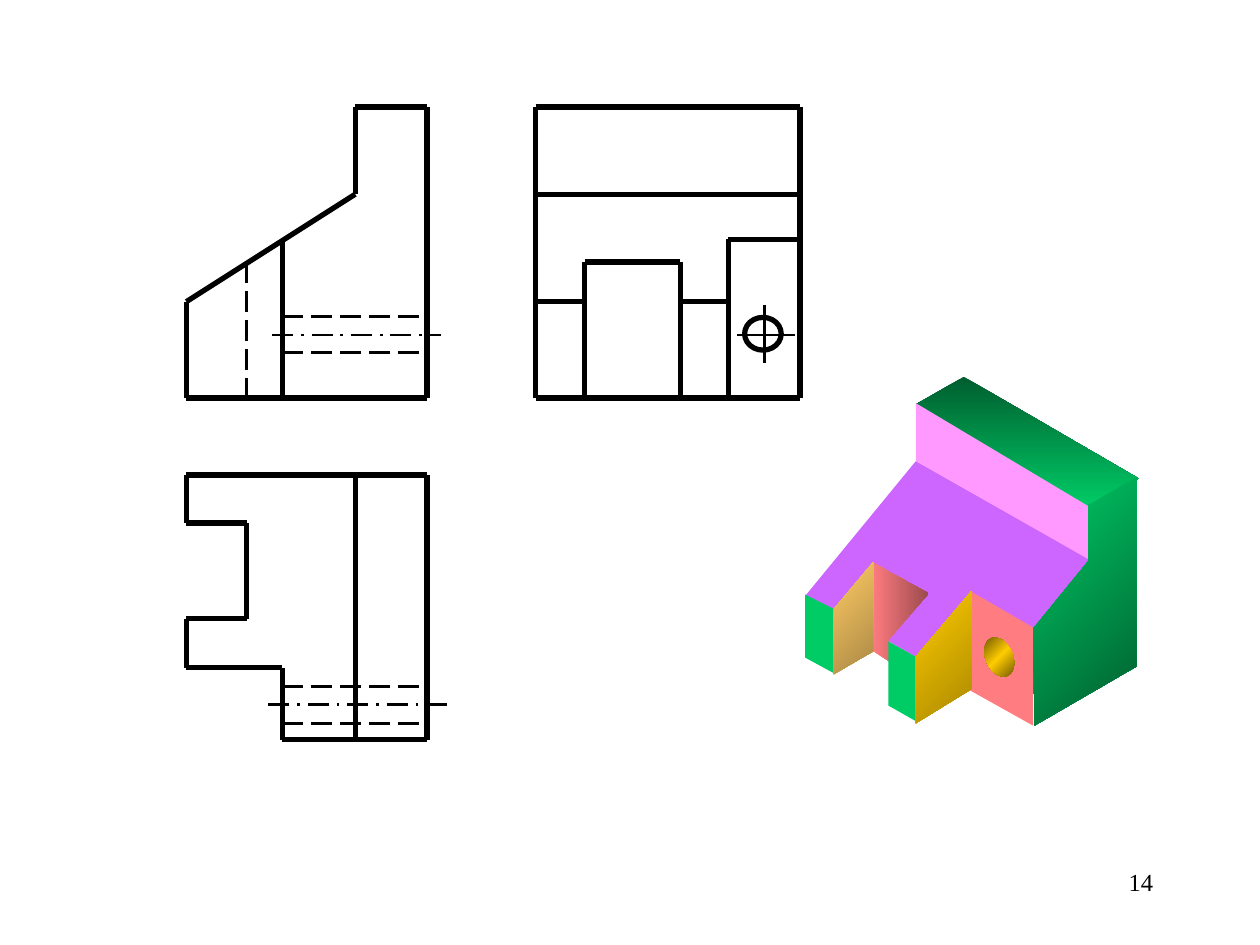
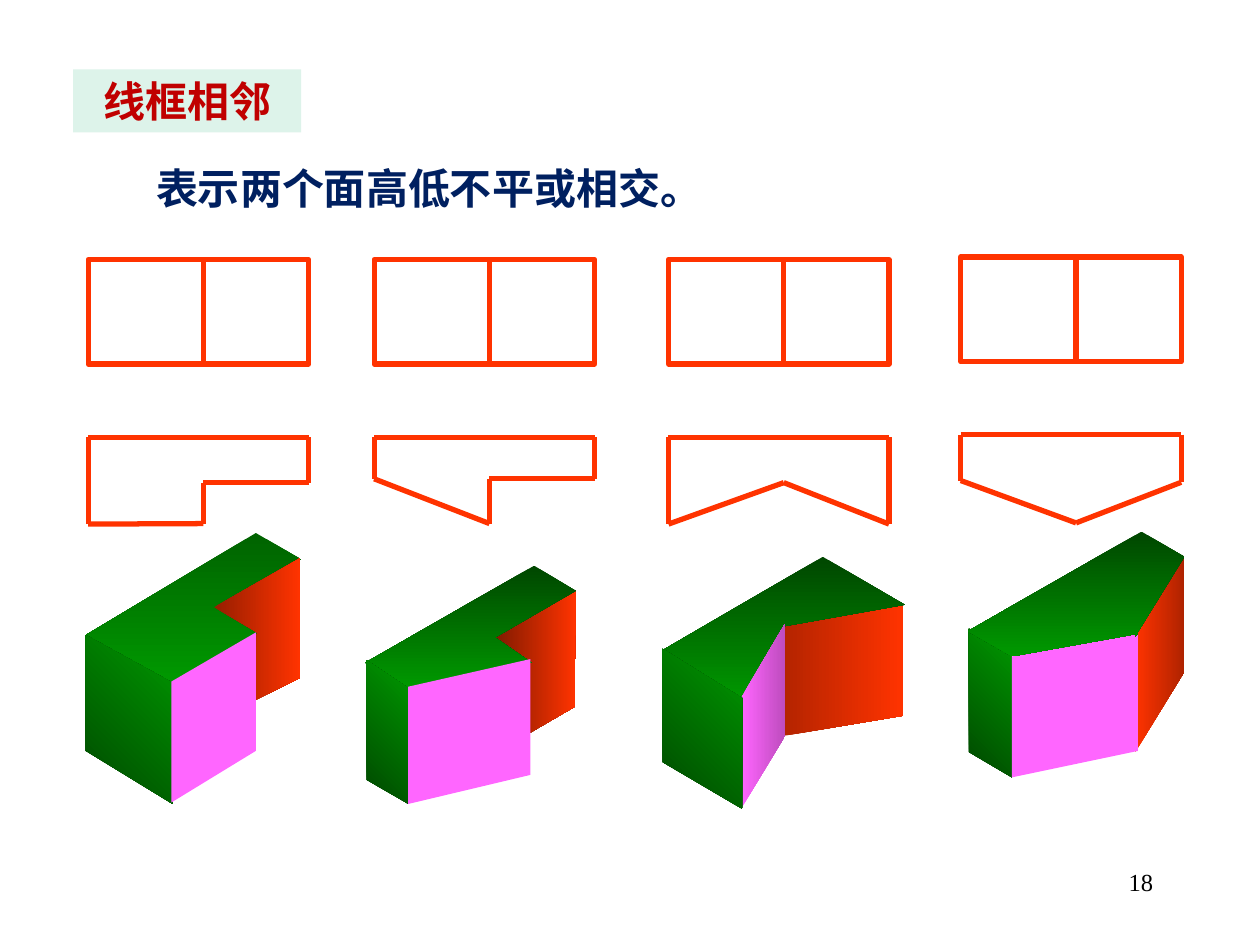
import copy
import math

from lxml import etree
from pptx import Presentation
from pptx import util as u
from pptx.dml import color
from pptx.enum import dml, shapes, text
from pptx.oxml import ns

Pt = u.Pt

# Shared style
FONT = "Times New Roman"
BLACK, RED, NAVY, CRIMSON, MINT = "000000", "FF3300", "002060", "C00000", "DDF3EA"
PURPLE, SALMON, PINK, MAGENTA, JADE = "CC66FF", "FF7C80", "FF99FF", "FF66FF", "00CC66"
DARK_JADE, DARK_GREEN, GREEN = "005E2F", "004700", "009900"
GOLD, DARK_GOLD = "FFCC00", "765E00"
THICK, THIN = 3, 1.5
SOLID, DASH, DASH_DOT = None, dml.MSO_LINE.LONG_DASH, dml.MSO_LINE.LONG_DASH_DOT


def rgb(value):
    return color.RGBColor.from_string(value)


def write(sp, words, size=24, ink=BLACK, bold=False, align=text.PP_ALIGN.LEFT,
          anchor=text.MSO_ANCHOR.TOP):
    tf = sp.text_frame
    tf.word_wrap = True
    tf.auto_size = text.MSO_AUTO_SIZE.NONE
    tf.vertical_anchor = anchor
    tf.margin_left = tf.margin_right = Pt(7.2)
    tf.margin_top = tf.margin_bottom = Pt(3.6)
    p = tf.paragraphs[0]
    p.alignment = align
    r = p.add_run()
    r.text = words
    r.font.name, r.font.size, r.font.bold = FONT, Pt(size), bold
    r.font.color.rgb = rgb(ink)


prs = Presentation()
prs.slide_width, prs.slide_height = Pt(720), Pt(540)
bracket = prs.slides.add_slide(prs.slide_layouts[6])
frames = prs.slides.add_slide(prs.slide_layouts[5])

# Slide numbers
for s, number in ((bracket, "14"), (frames, "18")):
    sp = s.shapes.add_textbox(Pt(516.2), Pt(491.8), Pt(149.8), Pt(36))
    write(sp, number, size=14, align=text.PP_ALIGN.RIGHT)

# Heading and statement
sp = frames.shapes.title
sp.left, sp.top, sp.width, sp.height = Pt(41.8), Pt(39.6), Pt(130.3), Pt(36)
sp.fill.solid()
sp.fill.fore_color.rgb = rgb(MINT)
write(sp, "线框相邻", ink=CRIMSON, bold=True, align=text.PP_ALIGN.CENTER,
      anchor=text.MSO_ANCHOR.MIDDLE)
sp = frames.shapes.add_textbox(Pt(82.1), Pt(89.3), Pt(515.5), Pt(36))
write(sp, "表示两个面高低不平或相交。", ink=NAVY, bold=True)

# Bracket: edges shared by the three views
left, slot, step, wall, right = 106.5, 141, 161.3, 203, 244
top, ridge, step_top, slot_top, toe, foot = 61.2, 111, 136.8, 149.8, 172.4, 227.5
side_left, side_right, notch_left, notch_right, block = 306, 457.2, 334.1, 388.8, 416.2
plan_top, plan_a, plan_b, plan_c, plan_foot = 271.4, 298.8, 353.5, 381.6, 422.6
axis = 191.5

front_view = [
    [(left, foot), (left, toe), (wall, ridge), (wall, top), (right, top),
     (right, foot), (left, foot)],
    [(step, step_top), (step, foot)],
]
side_view = [
    [(side_left, foot), (side_left, top), (side_right, top), (side_right, foot),
     (side_left, foot)],
    [(side_left, ridge), (side_right, ridge)],
    [(notch_left, foot), (notch_left, slot_top), (notch_right, slot_top),
     (notch_right, foot)],
    [(side_left, toe), (notch_left, toe)],
    [(notch_right, toe), (block, toe)],
    [(block, foot), (block, step_top), (side_right, step_top)],
]
plan_view = [
    [(left, plan_top), (right, plan_top), (right, plan_foot), (step, plan_foot),
     (step, plan_c), (left, plan_c), (left, plan_b), (slot, plan_b), (slot, plan_a),
     (left, plan_a), (left, plan_top)],
    [(wall, plan_top), (wall, plan_foot)],
]
hidden_edges = [
    [(slot, slot_top), (slot, foot)],
    [(step, 180.7), (right, 180.7)],
    [(step, 201.6), (right, 201.6)],
    [(step, 392.4), (right, 392.4)],
    [(step, 413.3), (right, 413.3)],
]
centre_lines = [
    [(155.5, axis), (252, axis)],
    [(153.4, 402.5), (255.6, 402.5)],
]
hole_cross = [
    [(437, 174.2), (437, 207.4)],
    [(421.2, axis), (454.3, axis)],
]
# slide, polylines, colour, width, dash
line_sets = [(bracket, front_view + side_view + plan_view, BLACK, THICK, SOLID),
             (bracket, hidden_edges, BLACK, THIN, DASH),
             (bracket, centre_lines, BLACK, THIN, DASH_DOT),
             (bracket, hole_cross, BLACK, THIN, SOLID)]
outlines = [(bracket, shapes.MSO_SHAPE.OVAL, 425.5, 181.4, 20.9, 18.7, BLACK)]

# Four prisms: elevation, divider and plan in each column
FRAME_W, FRAME_H, FRAME_TOP, PLAN_TOP, SPLIT = 126, 59.8, 148.3, 249.8, 65.9
columns = [
    (50.4, 0, [(FRAME_W, 275.8), (SPLIT, 275.8), (SPLIT, 299.2), (0, 299.5)]),
    (213.8, 0, [(FRAME_W, 273.6), (SPLIT, 273.6), (SPLIT, 299.2), (0, 273.6)]),
    (382, 0, [(FRAME_W, 299.5), (SPLIT, 275.8), (0, 299.5)]),
    (549, -1.4, [(FRAME_W, 277), (SPLIT, 300.2), (0, 276)]),
]
for x, dy, lower_edge in columns:
    y = FRAME_TOP + dy
    outlines.append((frames, shapes.MSO_SHAPE.RECTANGLE, x, y, FRAME_W, FRAME_H, RED))
    plan = [(0, PLAN_TOP), (FRAME_W, PLAN_TOP), *lower_edge, (0, PLAN_TOP)]
    line_sets.append((frames, [[(x + SPLIT, y), (x + SPLIT, y + FRAME_H)],
                               [(x + px, py + dy) for px, py in plan]],
                      RED, THICK, SOLID))

# Draw the closed outlines and the lines
for s, kind, x, y, w, h, ink in outlines:
    sp = s.shapes.add_shape(kind, Pt(x), Pt(y), Pt(w), Pt(h))
    sp.shadow.inherit = False
    sp.fill.background()
    sp.line.color.rgb = rgb(ink)
    sp.line.width = Pt(THICK)

for s, polylines, ink, width, dash in line_sets:
    for points in polylines:
        for (x1, y1), (x2, y2) in zip(points, points[1:]):
            sp = s.shapes.add_connector(shapes.MSO_CONNECTOR.STRAIGHT,
                                        Pt(x1), Pt(y1), Pt(x2), Pt(y2))
            sp.line.color.rgb = rgb(ink)
            sp.line.width = Pt(width)
            if dash:
                sp.line.dash_style = dash
            etree.SubElement(sp._element.spPr, ns.qn("a:effectLst"))

# Solid faces: colours, clockwise gradient angle, corners
hole = [(571 + 8.6 * math.cos(t), 375.5 + 11.2 * math.sin(t + 0.3))
        for t in (math.radians(a) for a in range(0, 360, 15))]
bracket_faces = [
    ([PURPLE], 0, [(523.4, 263.5), (460.1, 340.6), (477.4, 348.5), (499, 323),
                   (529.9, 339.1), (507, 366), (524.2, 375.8), (555.1, 338.4),
                   (590.4, 359.3), (622.8, 319.7)]),
    ([SALMON], 0, [(554.4, 337.7), (590.4, 358.6), (590.4, 414.7), (554.4, 394.6)]),
    ([SALMON, "9B4B4E"], 0, [(498.2, 321.1), (530.6, 339.1), (507.6, 365.8),
                             (508.3, 378), (498.2, 371.5)]),
    ([DARK_JADE, JADE], 90, [(523.4, 231.1), (550.8, 215.3), (650.9, 273.6),
                             (622.8, 290.2)]),
    ([PINK], 0, [(523.4, 230.4), (523.4, 263.5), (623.5, 320.4), (623.5, 290.2)]),
    ([JADE, DARK_JADE], 45, [(649.4, 272.9), (649.4, 380.9), (591.1, 414.7),
                             (590.4, 359.3), (622.1, 320.4), (622.1, 288.7)]),
    ([JADE], 0, [(460.1, 339.8), (477.4, 348.5), (477.4, 385.2), (460.1, 375.8)]),
    ([JADE], 0, [(507.6, 366.5), (524.2, 375.8), (524.2, 412.6), (507.6, 403.2)]),
    (["FFCC66", "AA8844"], 45, [(476.6, 347.8), (499, 321.1), (499, 372.2),
                                (476.6, 385.2)]),
    ([DARK_GOLD, GOLD, DARK_GOLD], 45, hole),
    ([GOLD, "AA8800"], 45, [(523.4, 375.1), (523.4, 413.3), (555.1, 393.8),
                            (555.1, 337.7)]),
]
SHADE = [DARK_GREEN, GREEN]
prism_faces = [
    # Stepped prism
    (["006300", GREEN], 90, [(49, 362.9), (146.2, 304.6), (172.1, 319.7),
                             (123.8, 347.8), (149, 360.7), (97.9, 391)]),
    (SHADE, 315, [(49, 362.9), (49, 429.1), (98.6, 459.4), (98.6, 390.2)]),
    (["961E00", RED], 0, [(171.4, 319), (122.4, 347), (146.9, 361.4),
                          (145.4, 400.3), (171.4, 387.4)]),
    ([MAGENTA], 0, [(97.9, 389.5), (97.9, 458.6), (146.2, 429.1), (146.2, 361.4)]),
    # Slanted step
    (["761800", RED], 0, [(279.4, 363.6), (329, 337), (328.3, 403.9),
                          (302.4, 419), (302.4, 379.4)]),
    (SHADE, 90, [(208.8, 378.7), (231.8, 393.1), (303.8, 378.7), (283, 364.3),
                 (329, 337.7), (305.3, 323.3)]),
    (SHADE, 315, [(209.5, 377.3), (209.5, 445.7), (233.3, 459.4), (233.3, 393.1)]),
    ([MAGENTA], 0, [(233.3, 392.4), (233.3, 459.4), (303.1, 442.8), (303.1, 376.6)]),
    # Inward corner
    (["B42400", RED], 0, [(447.8, 357.1), (516.2, 345.6), (516.2, 409),
                          (447.8, 420.5)]),
    (SHADE, 90, [(378.7, 371.5), (421.2, 401.8), (448.6, 357.8), (517, 345.6),
                 (470.2, 318.2)]),
    ([MAGENTA, "BE4CBE"], 0, [(448.6, 356.4), (423.4, 398.9), (423.4, 462.2),
                              (448.6, 420.5)]),
    (SHADE, 315, [(378.7, 370.8), (424.1, 398.9), (424.1, 462.2), (378.7, 435.6)]),
    # Outward corner
    ([RED, "AF2300"], 0, [(654.5, 339.8), (676.8, 317.5), (676.8, 383.8),
                          (648.7, 429.8), (650.2, 361.4)]),
    (SHADE, 315, [(553.7, 359.3), (553.7, 429.8), (578.2, 444.2), (578.2, 375.1)]),
    ([MAGENTA], 0, [(578.2, 375.1), (578.2, 444.2), (650.2, 429.1), (650.2, 362.2)]),
    (SHADE, 90, [(553, 360.7), (578.2, 375.1), (650.2, 362.2), (648.7, 363.6),
                 (676.8, 318.2), (652.3, 303.8)]),
]

for s, faces in ((bracket, bracket_faces), (frames, prism_faces)):
    for inks, angle, corners in faces:
        points = [(Pt(x), Pt(y)) for x, y in corners]
        builder = s.shapes.build_freeform(*points[0])
        builder.add_line_segments(points[1:], close=True)
        sp = builder.convert_to_shape()
        sp.shadow.inherit = False
        sp.line.fill.background()
        if len(inks) == 1:
            sp.fill.solid()
            sp.fill.fore_color.rgb = rgb(inks[0])
            continue
        sp.fill.gradient()
        sp.fill.gradient_angle = -angle % 360
        stops = sp._element.spPr.find(".//" + ns.qn("a:gsLst"))
        while len(stops) < len(inks):
            stops.insert(1, copy.deepcopy(stops[0]))
        for i, stop in enumerate(sp.fill.gradient_stops):
            stop.color.rgb = rgb(inks[i])
            stop.position = i / (len(inks) - 1)

prs.save("out.pptx")
